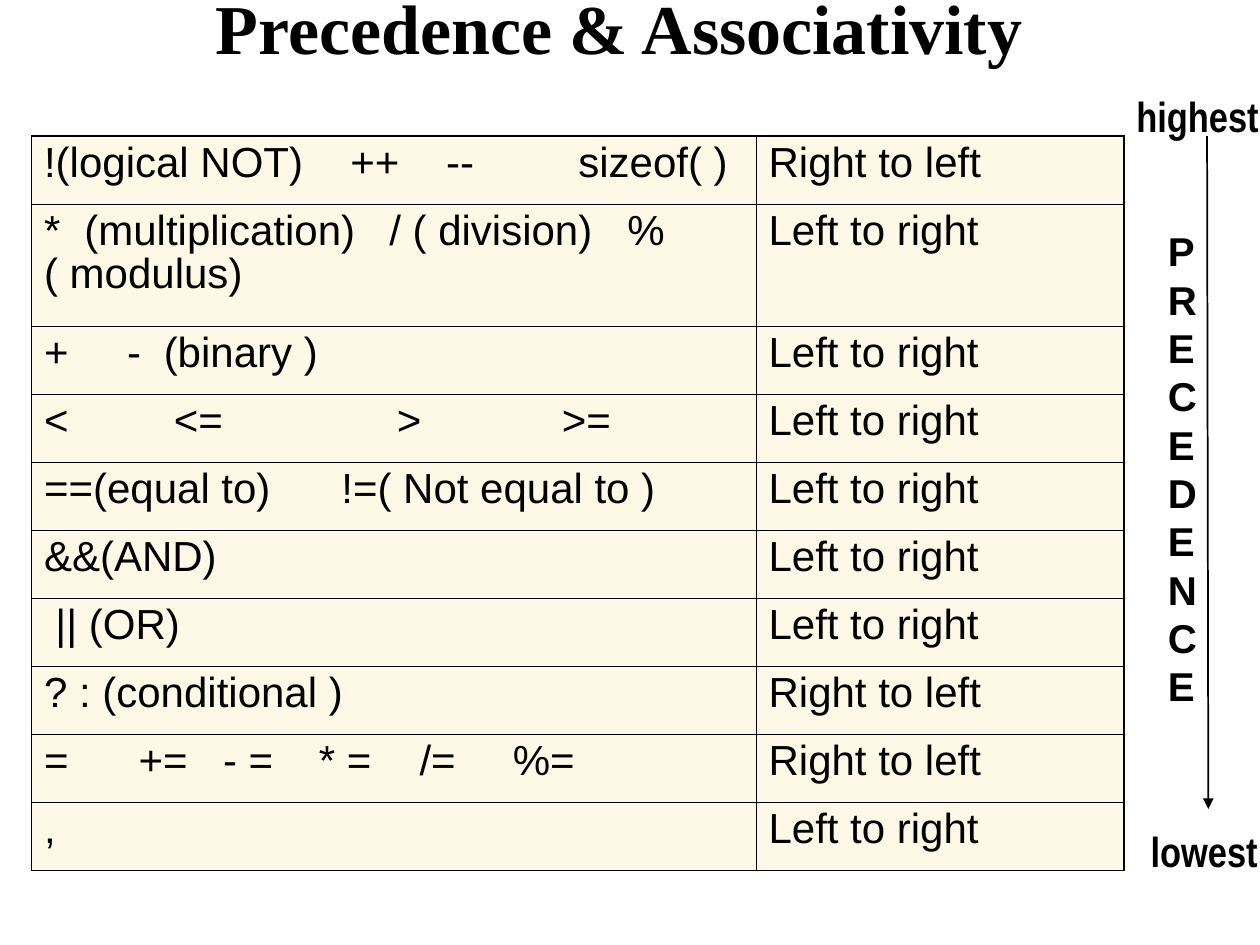
from dataclasses import dataclass

from pptx import Presentation
from pptx import util as u
from pptx.dml.color import RGBColor
from pptx.enum import shapes, text
from pptx.oxml import xmlchemy
from pptx.oxml.ns import qn
from lxml import etree

COLORS = {"ink": "000000", "cell": "FEF9E6"}
OUTER, INNER = 1.08, 0.45
LEFT, RIGHT = "Left to right", "Right to left"


@dataclass(frozen=True)
class Operators:
    """One precedence level; stops are the tab positions of its later operators."""
    names: tuple[str, ...]
    associativity: str
    stops: tuple[float, ...] = ()
    indent: float = 0
    height: float = 0.54


@dataclass(frozen=True)
class Label:
    lines: tuple[str, ...]
    left: float
    top: float
    width: float
    height: float
    font: str
    size: float
    align: text.PP_ALIGN = text.PP_ALIGN.LEFT
    anchor: text.MSO_ANCHOR = text.MSO_ANCHOR.TOP
    wrap: bool = True
    grow: bool = True
    pitch: float | None = None


LEVELS = (
    Operators(("!(logical NOT)", "++", "--", "sizeof( )"), RIGHT, (2.43, 3.19, 4.24)),
    Operators(("*", "(multiplication)", "/ ( division)", "%( modulus)"), LEFT,
              (0.32, 2.74, 4.63), height=0.97),
    Operators(("+", "-", "(binary )"), LEFT, (0.66, 0.95)),
    Operators(("<", "<=", ">", ">="), LEFT, (1.03, 2.8, 4.11)),
    Operators(("==(equal to)", "!=( Not equal to )"), LEFT, (2.36,)),
    Operators(("&&(AND)",), LEFT),
    Operators(("|| (OR)",), LEFT, indent=0.09),
    Operators(("? : (conditional )",), RIGHT),
    Operators(("=", "+=", "- =", "* =", "/=", "%="), RIGHT, (0.75, 1.42, 2.18, 2.98, 3.72)),
    Operators((",",), LEFT),
)

LABELS = (
    Label(("Precedence & Associativity",), 0.5, -0.33, 8.83, 1.08, "Times New Roman", 40,
          align=text.PP_ALIGN.CENTER, anchor=text.MSO_ANCHOR.MIDDLE, grow=False),
    Label(("lowest",), 8.5, 6.5, 1.58, 0.5, "Arial Narrow", 24, align=text.PP_ALIGN.RIGHT),
    Label(("highest",), 8.92, 0.67, 1.33, 0.5, "Arial Narrow", 24),
    Label(tuple("PRECEDENCE"), 9.17, 1.75, 0.43, 3.93, "Arial", 23, wrap=False, pitch=27.6),
)


def color(name: str) -> RGBColor:
    return RGBColor.from_string(COLORS[name])


def format_runs(para, font: str, size: float, bold: bool) -> None:
    for span in para.runs:
        span.font.name = font
        span.font.size = u.Pt(size)
        span.font.bold = bold
        span.font.color.rgb = color("ink")


def add_label(page, label: Label) -> None:
    box = page.shapes.add_textbox(*map(u.Inches, (label.left, label.top, label.width, label.height)))
    frame = box.text_frame
    frame.text = "\n".join(label.lines)
    frame.word_wrap = label.wrap
    frame.vertical_anchor = label.anchor
    frame.auto_size = (text.MSO_AUTO_SIZE.SHAPE_TO_FIT_TEXT if label.grow
                       else text.MSO_AUTO_SIZE.NONE)
    for para in frame.paragraphs:
        para.alignment = label.align
        if label.pitch:
            para.line_spacing = u.Pt(label.pitch)
        format_runs(para, label.font, label.size, True)


def set_border(cell, side: str, width: float) -> None:
    line = etree.SubElement(cell._tc.get_or_add_tcPr(), qn(f"a:ln{side}"), w=str(u.Pt(width)))
    fill = etree.SubElement(line, qn("a:solidFill"))
    etree.SubElement(fill, qn("a:srgbClr"), val=COLORS["ink"])


def set_cell(cell, words: str, stops: tuple[float, ...] = (), indent: float = 0) -> None:
    para = cell.text_frame.paragraphs[0]
    para.text = words
    para.line_spacing = 0.93
    props = para._p.get_or_add_pPr()
    if indent:
        props.set("marL", str(u.Inches(indent)))
    if stops:
        tabs = etree.SubElement(props, qn("a:tabLst"))
        for stop in stops:
            etree.SubElement(tabs, qn("a:tab"), pos=str(u.Inches(stop)), algn="l")
    format_runs(para, "Arial", 24, False)
    cell.margin_left = cell.margin_right = u.Inches(0.1)
    cell.margin_top = cell.margin_bottom = u.Inches(0.05)


def add_operator_table(page) -> None:
    widths = (5.75, 2.92)
    table = page.shapes.add_table(
        len(LEVELS), len(widths), u.Inches(0.25), u.Inches(1.08),
        u.Inches(sum(widths)), u.Inches(sum(level.height for level in LEVELS))).table
    table.first_row = table.horz_banding = False
    for column, width in zip(table.columns, widths):
        column.width = u.Inches(width)
    last = len(LEVELS) - 1
    for index, (row, level) in enumerate(zip(table.rows, LEVELS)):
        row.height = u.Inches(level.height)
        operators, associativity = row.cells
        set_cell(operators, "\t".join(level.names), level.stops, level.indent)
        set_cell(associativity, level.associativity)
        for cell in (operators, associativity):
            edges = {"L": cell is operators, "R": cell is associativity,
                     "T": index == 0, "B": index == last}
            for side, is_outer in edges.items():
                set_border(cell, side, OUTER if is_outer else INNER)
            cell.fill.solid()
            cell.fill.fore_color.rgb = color("cell")


def add_precedence_arrow(page) -> None:
    arrow = page.shapes.add_connector(
        shapes.MSO_CONNECTOR.STRAIGHT, *map(u.Inches, (9.58, 1.08, 9.59, 6.42)))
    arrow.line.width = u.Pt(1)
    arrow.line.color.rgb = color("ink")
    etree.SubElement(arrow.line._get_or_add_ln(), qn("a:tailEnd"), type="triangle")
    etree.SubElement(arrow._element.spPr, qn("a:effectLst"))


def main() -> None:
    deck = Presentation()
    deck.slide_width, deck.slide_height = u.Inches(10), u.Inches(7.5)
    page = deck.slides.add_slide(deck.slide_layouts[6])
    add_operator_table(page)
    add_precedence_arrow(page)
    for label in LABELS:
        add_label(page, label)
    deck.save("out.pptx")


if __name__ == "__main__":
    main()
